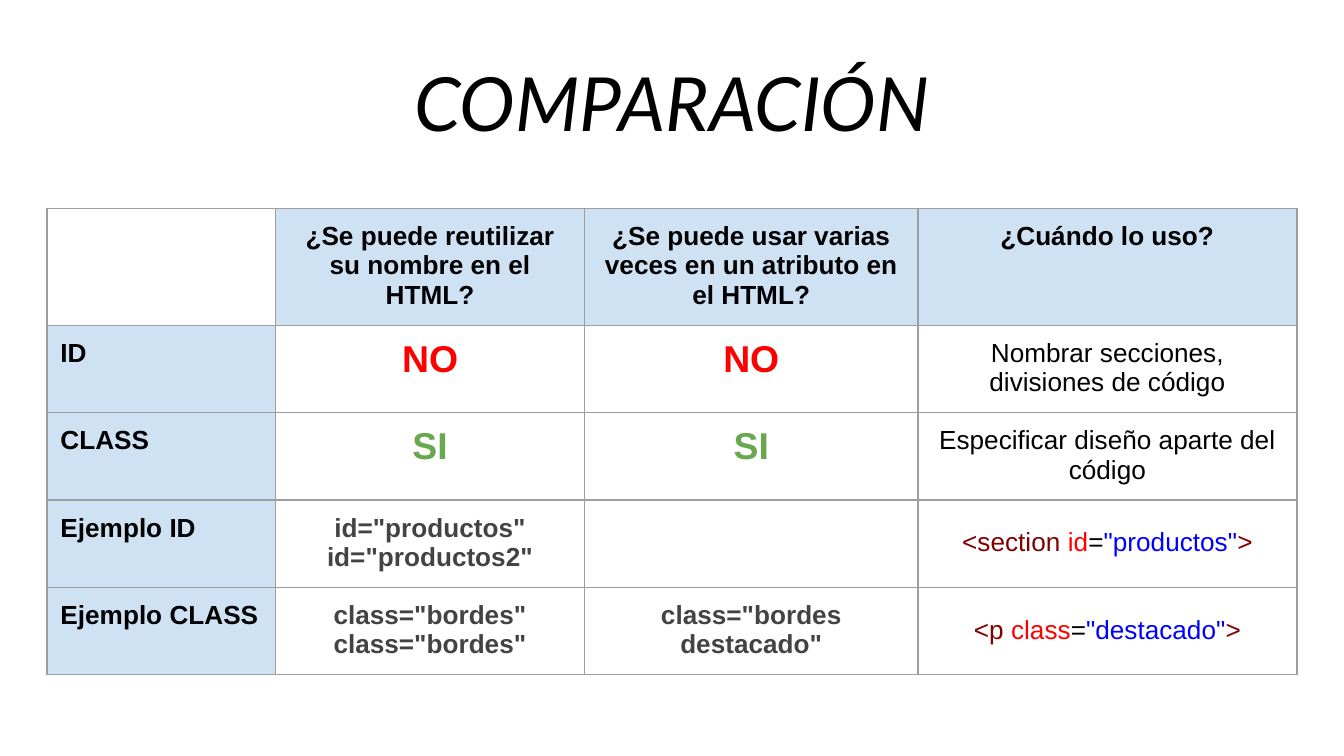
from lxml.etree import SubElement
from pptx import Presentation
from pptx.dml.color import RGBColor
from pptx.enum.text import MSO_ANCHOR, MSO_AUTO_SIZE, PP_ALIGN
from pptx.oxml.ns import qn
from pptx.util import Inches, Pt

COLORS = {
    "black": "000000", "header": "CFE2F3", "border": "9E9E9E",
    "no": "FF0000", "yes": "6AA84F", "example": "434343",
    "tag": "800000", "attribute": "FF0000", "value": "0000FF",
}
SLIDE_WIDTH = 10
SLIDE_HEIGHT = SLIDE_WIDTH * 9 / 16
COLUMN_WIDTHS = [1.7, 2.3, 2.48, 2.82]
ROW_HEIGHTS = [0.87] + [0.65] * 4
TABLE_LEFT, TABLE_TOP = 0.35, 1.55
MARGINS = ("margin_left", "margin_right", "margin_top", "margin_bottom")

# Text styles: font size, bold and colour
STYLES = {
    "heading": (14, True, "black"),
    "no": (20, True, "no"),
    "yes": (20, True, "yes"),
    "example": (14, True, "example"),
    "plain": (14, False, "black"),
}


def html_tag(tag, attribute, value):
    """Coloured pieces of an opening HTML tag."""
    return [("<" + tag, "tag"), (" ", "black"), (attribute, "attribute"),
            ("=", "black"), (f'"{value}"', "value"), (">", "tag")]


# Each cell: None, (text, style), or a list of coloured code pieces
ROWS = [
    [None,
     ("¿Se puede reutilizar su nombre en el HTML?", "heading"),
     ("¿Se puede usar varias veces en un atributo en el HTML?", "heading"),
     ("¿Cuándo lo uso?", "heading")],
    [("ID", "heading"), ("NO", "no"), ("NO", "no"),
     ("Nombrar secciones, divisiones de código", "plain")],
    [("CLASS", "heading"), ("SI", "yes"), ("SI", "yes"),
     ("Especificar diseño aparte del código", "plain")],
    [("Ejemplo ID", "heading"),
     ('id="productos"\nid="productos2"', "example"), None,
     html_tag("section", "id", "productos")],
    [("Ejemplo CLASS", "heading"),
     ('class="bordes"\nclass="bordes"', "example"),
     ('class="bordes destacado"', "example"),
     html_tag("p", "class", "destacado")],
]


def set_format(target, values):
    for name, value in values.items():
        setattr(target, name, value)


def add_run(paragraph, text, color, **font_format):
    run = paragraph.add_run()
    run.text = text
    set_format(run.font, font_format)
    run.font.color.rgb = RGBColor.from_string(COLORS[color])


def add_title(slide, text):
    title = slide.shapes.title
    set_format(title, {"left": Inches(1.59), "top": Inches(0.22),
                       "width": Inches(6.82), "height": Inches(0.76)})
    frame = title.text_frame
    set_format(frame, {name: Inches(0.1) for name in MARGINS})
    set_format(frame, {"word_wrap": True, "auto_size": MSO_AUTO_SIZE.NONE,
                       "vertical_anchor": MSO_ANCHOR.TOP})
    paragraph = frame.paragraphs[0]
    set_format(paragraph, {"alignment": PP_ALIGN.CENTER, "line_spacing": 1.15,
                           "space_before": Pt(0), "space_after": Pt(6)})
    add_run(paragraph, text, "black", name="Lato", size=Pt(40), italic=True)


def add_borders(cell):
    properties = cell._tc.get_or_add_tcPr()
    for position, side in enumerate(("lnL", "lnR", "lnT", "lnB")):
        line = SubElement(properties, qn("a:" + side), w=str(Pt(0.75)))
        fill = SubElement(line, qn("a:solidFill"))
        SubElement(fill, qn("a:srgbClr"), val=COLORS["border"])
        properties.insert(position, line)  # borders come before the fill


def fill_cell(cell, content, alignment):
    set_format(cell, {name: Inches(0.1) for name in MARGINS})
    frame = cell.text_frame
    if content is None:
        frame.paragraphs[0].font.size = Pt(14)
    elif isinstance(content, list):
        paragraph = frame.paragraphs[0]
        set_format(paragraph, {"alignment": alignment, "line_spacing": 1.5})
        for text, color in content:
            add_run(paragraph, text, color, name="Arial", size=Pt(14), bold=False)
    else:
        text, style = content
        size, bold, color = STYLES[style]
        for index, line in enumerate(text.split("\n")):
            paragraph = frame.add_paragraph() if index else frame.paragraphs[0]
            paragraph.alignment = alignment
            add_run(paragraph, line, color, name="Arial", size=Pt(size), bold=bold)

    # Headings in the first row and column are shaded
    if content and content[1] == "heading":
        cell.fill.solid()
        cell.fill.fore_color.rgb = RGBColor.from_string(COLORS["header"])
    else:
        cell.fill.background()
    add_borders(cell)


def add_comparison_table(slide):
    table = slide.shapes.add_table(
        len(ROWS), len(COLUMN_WIDTHS), Inches(TABLE_LEFT), Inches(TABLE_TOP),
        Inches(sum(COLUMN_WIDTHS)), Inches(sum(ROW_HEIGHTS))).table
    set_format(table, {"first_row": False, "horz_banding": False})
    for column, width in zip(table.columns, COLUMN_WIDTHS):
        column.width = Inches(width)
    for row, height, contents in zip(table.rows, ROW_HEIGHTS, ROWS):
        row.height = Inches(height)
        for index, content in enumerate(contents):
            alignment = PP_ALIGN.CENTER if index else PP_ALIGN.LEFT
            fill_cell(row.cells[index], content, alignment)


def main():
    presentation = Presentation()
    set_format(presentation, {"slide_width": Inches(SLIDE_WIDTH),
                              "slide_height": Inches(SLIDE_HEIGHT)})
    slide = presentation.slides.add_slide(presentation.slide_layouts[5])
    add_title(slide, "COMPARACIÓN")
    add_comparison_table(slide)
    presentation.save("out.pptx")


if __name__ == "__main__":
    main()
